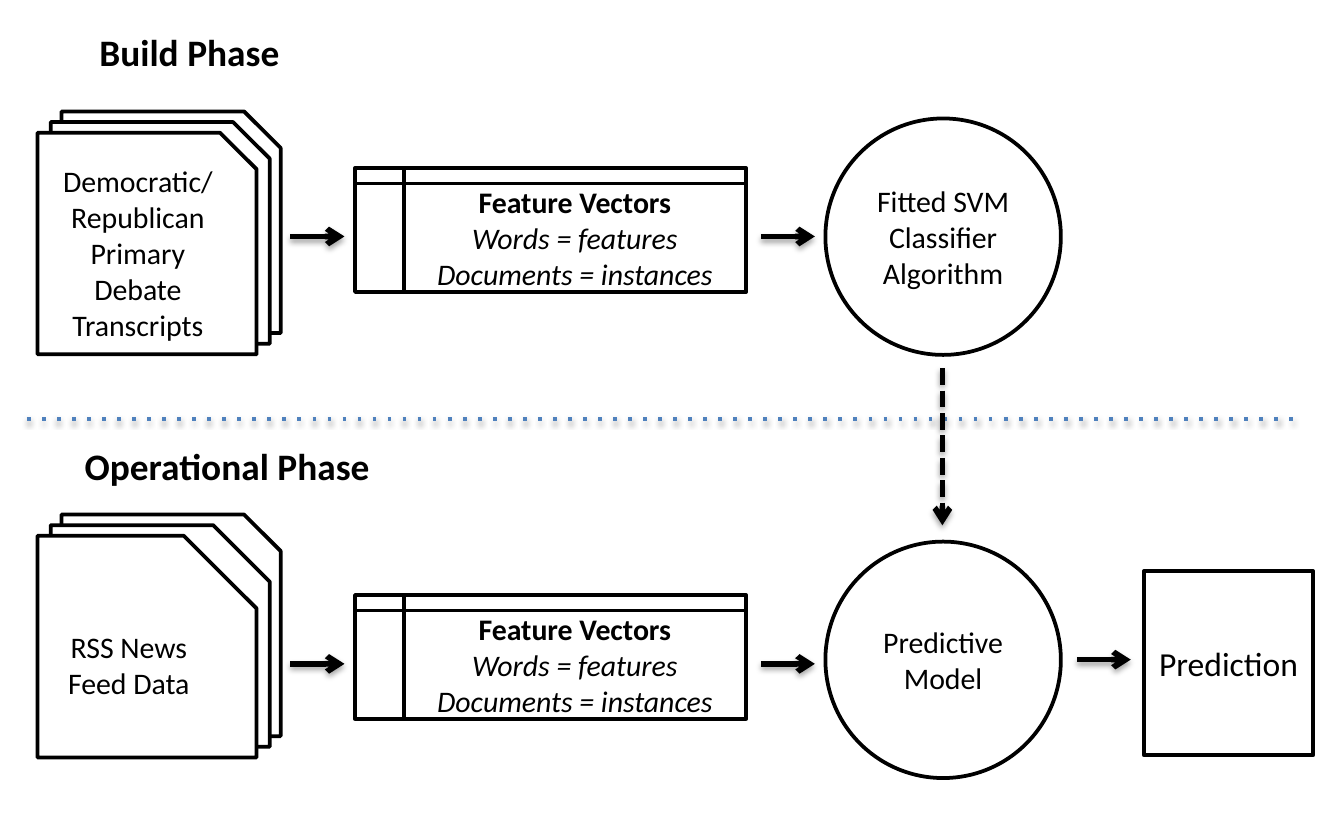
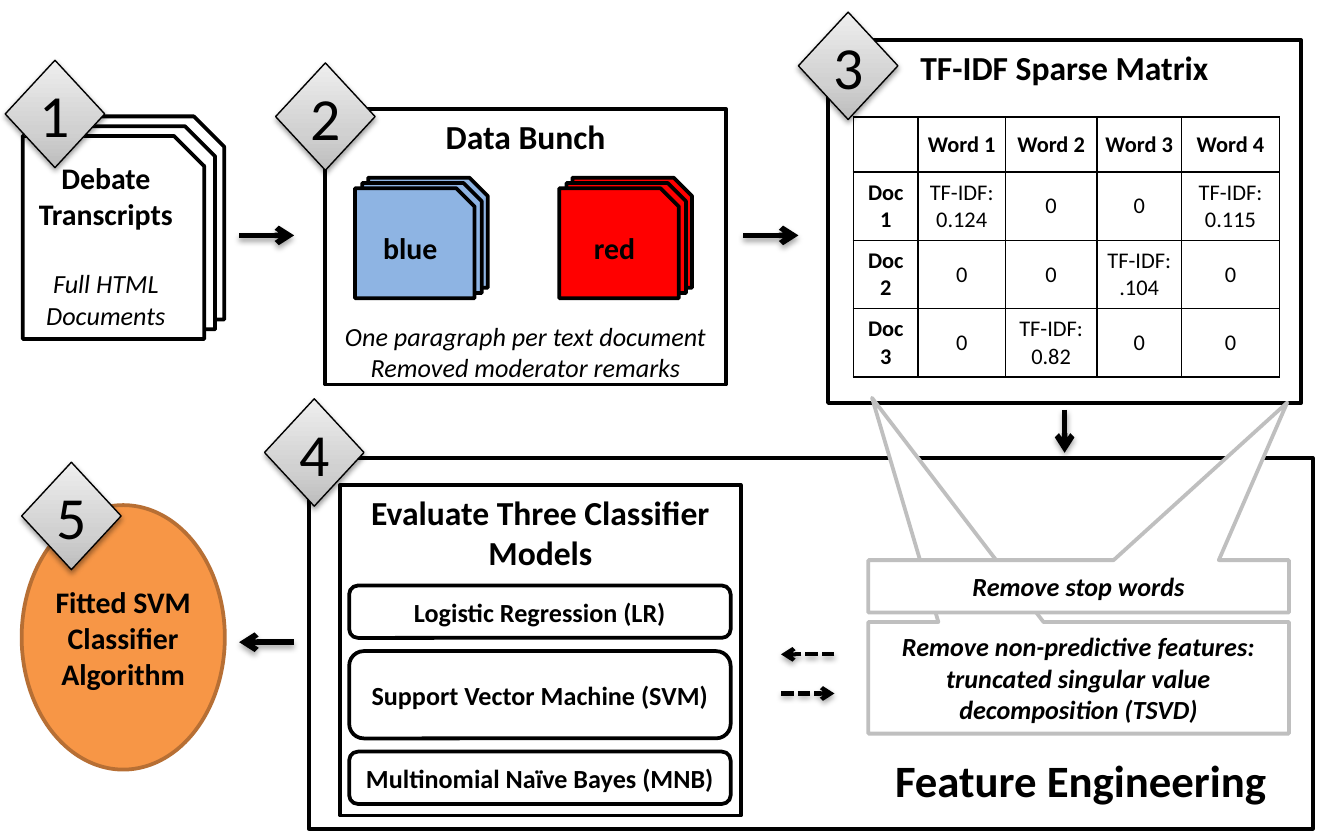
"""Build two slides that explain a debate text classifier."""
import copy
from dataclasses import dataclass
from typing import Any, Optional

import lxml.etree
import pptx
import pptx.dml.color
import pptx.enum.shapes
import pptx.enum.text
import pptx.oxml.ns
import pptx.util

Cm = pptx.util.Cm
Pt = pptx.util.Pt
qn = pptx.oxml.ns.qn
SHAPE = pptx.enum.shapes.MSO_SHAPE
MIDDLE = pptx.enum.text.MSO_ANCHOR.MIDDLE
TOP = pptx.enum.text.MSO_ANCHOR.TOP
CENTER = pptx.enum.text.PP_ALIGN.CENTER
LEFT = pptx.enum.text.PP_ALIGN.LEFT

COLORS = {
    "ink": "000000",
    "paper": "FFFFFF",
    "divider": "4F81BD",
    "democrat": "8EB4E3",
    "republican": "FF0000",
    "result": "F79646",
    "result edge": "B76F34",
    "callout edge": "BFBFBF",
    "badge low": "BDBDBD",
    "badge mid": "D1D1D1",
    "badge high": "EEEEEE",
}
BADGE_STOPS = ((0, "badge low"), (0.35, "badge mid"), (1, "badge high"))
SHEET_OFFSETS = ((0.11, 0.096), (0.06, 0.048), (0, 0))
INSETS = (0.25, 0.13)


@dataclass
class Line:
    """One paragraph and its format."""
    text: str
    size: float = 16
    bold: bool = False
    italic: bool = False
    gap: float = 0


@dataclass
class Block:
    """A preset shape with text, measured in centimetres."""
    kind: Any
    left: float
    top: float
    width: float
    height: float
    lines: tuple[Line, ...] = ()
    fill: str = "paper"
    edge: Optional[str] = "ink"
    weight: float = 2
    anchor: Any = MIDDLE
    adjust: tuple[float, ...] = ()
    insets: tuple[float, float] = INSETS


@dataclass
class Stack:
    """Three sheets of paper, given by the front one."""
    left: float
    top: float
    width: float
    height: float
    lines: tuple[Line, ...]
    fill: str = "paper"
    snips: tuple[float, float, float] = (0.1667, 0.1667, 0.1667)


@dataclass
class Arrow:
    """A straight line with its ends in centimetres."""
    x1: float
    y1: float
    x2: float
    y2: float
    color: str = "ink"
    weight: float = 3
    dash: Optional[str] = None
    head: bool = True
    shade: int = 35
    drop: float = 1.8


def rgb(name: str) -> pptx.dml.color.RGBColor:
    """Return a named colour."""
    return pptx.dml.color.RGBColor.from_string(COLORS[name])


def apply(target: Any, values: dict[str, Any]) -> None:
    """Set each format value on the target."""
    for key, value in values.items():
        setattr(target, key, value)


def write(frame: Any, lines: tuple[Line, ...], align: Any = CENTER) -> None:
    """Write paragraphs into a text frame."""
    for index, line in enumerate(lines):
        paragraph = frame.add_paragraph() if index else frame.paragraphs[0]
        apply(paragraph, {"alignment": align, "space_before": Pt(line.gap)})
        run = paragraph.add_run()
        run.text = line.text
        apply(run.font, {"name": "Calibri", "size": Pt(line.size),
                         "bold": line.bold, "italic": line.italic})
        run.font.color.rgb = rgb("ink")


def add_shadow(properties: Any, shade: int, drop: float) -> None:
    """Give shape properties a soft shadow below."""
    effects = properties.find(qn("a:effectLst"))
    if effects is None:
        effects = lxml.etree.SubElement(properties, qn("a:effectLst"))
    shadow = lxml.etree.SubElement(
        effects, qn("a:outerShdw"), blurRad=str(Pt(3.1)), dist=str(Pt(drop)),
        dir="5400000", rotWithShape="0")
    tint = lxml.etree.SubElement(shadow, qn("a:srgbClr"), val=COLORS["ink"])
    lxml.etree.SubElement(tint, qn("a:alpha"), val=str(shade * 1000))


def draw_block(slide: Any, block: Block) -> Any:
    """Draw one shape with its text."""
    shape = slide.shapes.add_shape(
        block.kind, Cm(block.left), Cm(block.top), Cm(block.width), Cm(block.height))
    shape.shadow.inherit = False
    for index, value in enumerate(block.adjust):
        shape.adjustments[index] = value
    shape.fill.solid()
    shape.fill.fore_color.rgb = rgb(block.fill)
    if block.edge:
        shape.line.color.rgb = rgb(block.edge)
        shape.line.width = Pt(block.weight)
    else:
        shape.line.fill.background()
    side, rim = map(Cm, block.insets)
    apply(shape.text_frame, {
        "word_wrap": True, "vertical_anchor": block.anchor, "margin_left": side,
        "margin_right": side, "margin_top": rim, "margin_bottom": rim})
    write(shape.text_frame, block.lines)
    return shape


def draw_stack(slide: Any, stack: Stack) -> None:
    """Draw three sheets, the front one with text."""
    for (right, up), snip in zip(SHEET_OFFSETS, stack.snips):
        draw_block(slide, Block(
            SHAPE.SNIP_1_RECTANGLE, stack.left + right * stack.width,
            stack.top - up * stack.height, stack.width, stack.height,
            () if right else stack.lines, stack.fill, adjust=(snip,)))


def draw_arrow(slide: Any, arrow: Arrow) -> None:
    """Draw a straight connector."""
    connector = slide.shapes.add_connector(
        pptx.enum.shapes.MSO_CONNECTOR.STRAIGHT,
        Cm(arrow.x1), Cm(arrow.y1), Cm(arrow.x2), Cm(arrow.y2))
    connector.line.color.rgb = rgb(arrow.color)
    connector.line.width = Pt(arrow.weight)
    properties = connector._element.spPr
    stroke = properties.find(qn("a:ln"))
    if arrow.dash:
        lxml.etree.SubElement(stroke, qn("a:prstDash"), val=arrow.dash)
    if arrow.head:
        lxml.etree.SubElement(stroke, qn("a:tailEnd"), type="arrow")
    add_shadow(properties, arrow.shade, arrow.drop)


def draw_badge(slide: Any, number: int, left: float, top: float) -> None:
    """Draw a numbered grey diamond."""
    badge = draw_block(slide, Block(
        SHAPE.DIAMOND, left, top, 1.88, 2.03, (Line(str(number), 32),),
        weight=0.75, insets=(0, 0)))
    badge.fill.gradient()
    badge.fill.gradient_angle = 90
    properties = badge._element.spPr
    stops = properties.find(".//" + qn("a:gsLst"))
    stops.append(copy.deepcopy(stops[0]))
    for stop, (position, color) in zip(badge.fill.gradient_stops, BADGE_STOPS):
        stop.position = position
        stop.color.rgb = rgb(color)
    add_shadow(properties, 38, 1.6)


def draw_heading(slide: Any, text: str, left: float, top: float, width: float) -> None:
    """Draw a phase heading."""
    heading = slide.shapes.add_textbox(Cm(left), Cm(top), Cm(width), Cm(1.12))
    heading.text_frame.word_wrap = True
    write(heading.text_frame, (Line(text, 20, bold=True),), LEFT)


def draw_matrix(slide: Any) -> None:
    """Draw the table of term weights."""
    rows = (
        ("", "Word 1", "Word 2", "Word 3", "Word 4"),
        ("Doc 1", "TF-IDF: 0.124", "0", "0", "TF-IDF: 0.115"),
        ("Doc 2", "0", "0", "TF-IDF:\n.104", "0"),
        ("Doc 3", "0", "TF-IDF: 0.82", "0", "0"),
    )
    widths = (1.22, 1.65, 1.73, 1.6, 1.85)
    height = 1.04
    matrix = slide.shapes.add_table(
        len(rows), len(widths), Cm(16.13), Cm(2.21),
        Cm(sum(widths)), Cm(height * len(rows))).table
    apply(matrix, {"first_row": False, "horz_banding": False})
    for column, width in zip(matrix.columns, widths):
        column.width = Cm(width)
    for row_index, row in enumerate(rows):
        matrix.rows[row_index].height = Cm(height)
        for column_index, text in enumerate(row):
            cell = matrix.cell(row_index, column_index)
            apply(cell, {"vertical_anchor": MIDDLE, **{
                f"margin_{side}": Cm(0.13) for side in ("left", "right", "top", "bottom")}})
            label = row_index == 0 or column_index == 0
            if text:
                write(cell.text_frame,
                      tuple(Line(part, 12, label) for part in text.split("\n")))
            properties = cell._tc.get_or_add_tcPr()
            for side in ("a:lnL", "a:lnR", "a:lnT", "a:lnB"):
                border = lxml.etree.SubElement(properties, qn(side), w=str(Pt(1)))
                paint = lxml.etree.SubElement(border, qn("a:solidFill"))
                lxml.etree.SubElement(paint, qn("a:srgbClr"), val=COLORS["ink"])
            cell.fill.background()


def build_phases(slide: Any) -> None:
    """Draw the build and operational phases."""
    draw_arrow(slide, Arrow(0.51, 7.92, 24.51, 7.92, "divider", 2, "dot", False, 38, 1.6))
    draw_stack(slide, Stack(0.71, 2.51, 4.14, 4.19, (
        Line("Democratic/Republican Primary Debate Transcripts"),)))
    draw_stack(slide, Stack(0.71, 10.13, 4.14, 4.19, (Line("RSS News Feed Data"),),
                            snips=(0.1667, 0.258, 0.332)))
    draw_heading(slide, "Build Phase", 1.63, 0.43, 5.51)
    draw_heading(slide, "Operational Phase", 1.35, 8.26, 7.65)
    features = (Line("Feature Vectors", bold=True), Line("Words = features", italic=True),
                Line("Documents = instances", italic=True))
    phases = ((3.18, 4.47, 2.24, "Fitted SVM Classifier Algorithm"),
              (11.25, 12.55, 10.24, "Predictive Model"))
    for vectors_top, flow_y, model_top, model in phases:
        draw_block(slide, Block(SHAPE.FLOWCHART_INTERNAL_STORAGE,
                                6.71, vectors_top, 7.39, 2.34, features))
        draw_block(slide, Block(SHAPE.OVAL, 15.6, model_top, 4.45, 4.47, (Line(model),)))
        for start in (5.49, 14.38):
            draw_arrow(slide, Arrow(start, flow_y, start + 1.02, flow_y))
    draw_arrow(slide, Arrow(20.35, 12.47, 21.37, 12.47))
    draw_block(slide, Block(SHAPE.RECTANGLE, 21.62, 10.8, 3.2, 3.48,
                            (Line("Prediction", 18),)))
    draw_arrow(slide, Arrow(17.81, 6.96, 17.81, 9.93, dash="sysDash"))


def build_pipeline(slide: Any) -> None:
    """Draw the five steps from transcripts to classifier."""
    box = SHAPE.RECTANGLE
    draw_block(slide, Block(box, 5.84, 8.66, 18.97, 7.01))
    draw_block(slide, Block(box, 15.65, 0.76, 8.94, 6.86, (
        Line("TF-IDF Sparse Matrix", 18, True),), anchor=TOP))
    draw_block(slide, Block(SHAPE.OVAL, 0.41, 9.55, 3.84, 5, (
        Line("Fitted SVM Classifier Algorithm", bold=True),),
        "result", "result edge", insets=(0, 0.03)))
    draw_block(slide, Block(box, 6.15, 2.06, 7.57, 5.21, (
        Line("Data Bunch", 18, True),
        Line("One paragraph per text document", 14, italic=True, gap=88),
        Line("Removed moderator remarks", 14, italic=True)), anchor=TOP))
    for left, party, color in ((10.57, "red", "republican"), (6.71, "blue", "democrat")):
        draw_stack(slide, Stack(left, 3.56, 2.26, 2.08, (Line(party, bold=True),), color))
    draw_stack(slide, Stack(0.43, 2.57, 3.43, 3.84, (
        Line("Debate Transcripts", bold=True),
        Line("Full HTML Documents", 14, italic=True, gap=19.5))))
    removals = (
        ("Remove non-predictive features: truncated singular value decomposition (TSVD)",
         11.76, 2.11, (-0.491, -2.509)),
        ("Remove stop words", 10.59, 0.99, (0.496, -3.51)))
    for text, top, height, tip in removals:
        draw_block(slide, Block(SHAPE.RECTANGULAR_CALLOUT, 16.41, top, 7.95, height, (
            Line(text, 14, True, True),), edge="callout edge", adjust=tip))
    draw_matrix(slide)
    draw_block(slide, Block(box, 16.41, 14.2, 8.03, 1.07, (
        Line("Feature Engineering", 24, True),), edge=None))
    draw_block(slide, Block(box, 6.43, 9.17, 7.57, 6.25, (
        Line("Evaluate Three Classifier Models", 18, True),), anchor=TOP))
    top = 11.07
    for model, height in (("Logistic Regression (LR)", 0.99),
                          ("Support Vector Machine (SVM)", 1.65),
                          ("Multinomial Naïve Bayes (MNB)", 0.99)):
        draw_block(slide, Block(SHAPE.ROUNDED_RECTANGLE, 6.6, top, 7.21, height, (
            Line(model, 14, True),)))
        top += height + 0.25
    for arrow in (Arrow(4.52, 4.45, 5.56, 4.45), Arrow(14.05, 4.45, 15.09, 4.45),
                  Arrow(20.12, 7.75, 20.12, 8.56), Arrow(5.56, 12.14, 4.52, 12.14),
                  Arrow(15.77, 12.37, 14.76, 12.37, weight=2.25, dash="sysDash"),
                  Arrow(14.76, 13.11, 15.77, 13.11, weight=2.25, dash="sysDash")):
        draw_arrow(slide, arrow)
    corners = ((0.1, 1.14), (5.21, 1.19), (15.09, 0.23), (5, 7.54), (0.41, 8.74))
    for number, (left, corner_top) in enumerate(corners, 1):
        draw_badge(slide, number, left, corner_top)


def main() -> None:
    """Create the presentation and save it."""
    deck = pptx.Presentation()
    apply(deck, {"slide_width": Cm(25.4), "slide_height": Cm(15.88)})
    for build in (build_phases, build_pipeline):
        build(deck.slides.add_slide(deck.slide_layouts[6]))
    deck.save("out.pptx")


if __name__ == "__main__":
    main()
